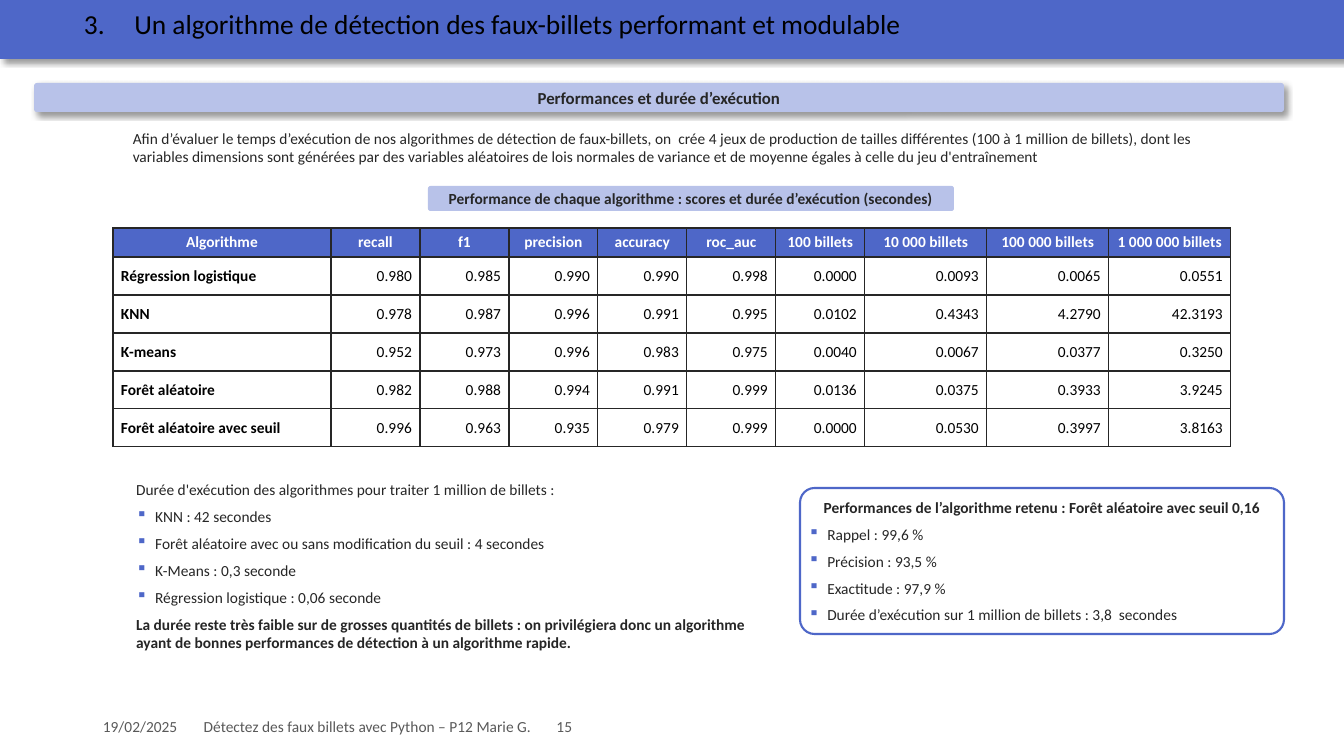
from lxml.etree import SubElement
from pptx import Presentation
from pptx.dml.color import RGBColor
from pptx.enum.shapes import MSO_SHAPE
from pptx.enum.text import MSO_ANCHOR as ANCHOR, PP_ALIGN as ALIGN
from pptx.oxml import parse_xml
from pptx.oxml.ns import nsdecls, qn
from pptx.util import Pt

PX = 9071  # EMU per pixel, 100.8 pixels to the inch
BLUE, PALE_BLUE, DARK, GREY = "4E67C8", "B8C2E9", "262626", "595959"
BLACK, WHITE = "000000", "FFFFFF"
colour = RGBColor.from_string


def write(paragraph, text, size=11, color=DARK, bold=False, align=ALIGN.LEFT,
          after=0, line_spacing=None, left=0, bullet=False, tabs=()):
    run = paragraph.add_run()
    run.text = text
    run.font.name = "Calibri"
    run.font.size = Pt(size)
    run.font.bold = bold
    run.font.color.rgb = colour(color)
    paragraph.alignment = align
    paragraph.space_after = Pt(after)
    if line_spacing:
        paragraph.line_spacing = line_spacing
    properties = paragraph._p.get_or_add_pPr()
    properties.set("marL", str(left * PX))
    properties.set("indent", str(-19 * PX if bullet else 0))
    if bullet:
        bullet_color = SubElement(properties, qn("a:buClr"))
        SubElement(bullet_color, qn("a:srgbClr"), val=BLUE)
        SubElement(properties, qn("a:buChar"), char="▪")
    if tabs:
        tab_list = SubElement(properties, qn("a:tabLst"))
        for tab in tabs:
            SubElement(tab_list, qn("a:tab"), pos=str(tab * PX), algn="l")


def add_box(bounds, kind=MSO_SHAPE.ROUNDED_RECTANGLE, fill=None, line=None,
            shadow=False, anchor=ANCHOR.MIDDLE, paragraphs=()):
    """Add a shape; paragraphs are pairs of text and format for write()."""
    shape = slide.shapes.add_shape(kind, *[value * PX for value in bounds])
    if kind == MSO_SHAPE.ROUNDED_RECTANGLE:
        shape.adjustments[0] = 0.1
    if fill:
        shape.fill.solid()
        shape.fill.fore_color.rgb = colour(fill)
    else:
        shape.fill.background()
    if line:
        shape.line.color.rgb = colour(line)
        shape.line.width = Pt(1.5)
    else:
        shape.line.fill.background()
    shape.shadow.inherit = False
    if shadow:
        effects = shape._element.spPr.find(qn("a:effectLst"))
        effects.append(parse_xml(
            f'<a:outerShdw {nsdecls("a")} blurRad="50800" dist="38100" dir="2700000" '
            'algn="tl" rotWithShape="0"><a:srgbClr val="000000">'
            '<a:alpha val="40000"/></a:srgbClr></a:outerShdw>'))
    frame = shape.text_frame
    frame.word_wrap = True
    frame.vertical_anchor = anchor
    frame.margin_left = frame.margin_right = 4 * PX
    frame.margin_top = frame.margin_bottom = 5 * PX
    for index, (text, style) in enumerate(paragraphs):
        paragraph = frame.add_paragraph() if index else frame.paragraphs[0]
        write(paragraph, text, **style)


presentation = Presentation()
presentation.slide_width = 1344 * PX
presentation.slide_height = 756 * PX
slide = presentation.slides.add_slide(presentation.slide_layouts[6])

# Title band and footer
add_box((0, 0, 1344, 59), kind=MSO_SHAPE.RECTANGLE, fill=BLUE, shadow=True)
band_texts = [
    ((74, 11, 1025, 36), ANCHOR.TOP,
     "3.\tUn algorithme de détection des faux-billets performant et modulable",
     dict(size=19.6, color=BLACK, line_spacing=0.7, tabs=[101])),
    ((93, 711, 1159, 30), ANCHOR.MIDDLE,
     "19/02/2025\tDétectez des faux billets avec Python – P12 Marie G.\t15",
     dict(color=GREY, tabs=[302, 1109])),
]
for bounds, anchor, text, style in band_texts:
    frame = slide.shapes.add_textbox(*[value * PX for value in bounds]).text_frame
    frame.word_wrap = True
    frame.vertical_anchor = anchor
    write(frame.paragraphs[0], text, **style)

# Headings, introduction and conclusions
body = dict(after=6, left=10)
heading = dict(after=6, bold=True, align=ALIGN.CENTER)
duration_item = dict(after=6, left=29, bullet=True)
score_item = dict(after=6, left=19, bullet=True)

add_box((116, 469, 658, 211), anchor=ANCHOR.TOP, paragraphs=[
    ("Durée d'exécution des algorithmes pour traiter 1 million de billets :", body),
    ("KNN : 42 secondes", duration_item),
    ("Forêt aléatoire avec ou sans modification du seuil : 4 secondes", duration_item),
    ("K-Means : 0,3 seconde", duration_item),
    ("Régression logistique : 0,06 seconde", duration_item),
    ("La durée reste très faible sur de grosses quantités de billets : on privilégiera "
     "donc un algorithme ayant de bonnes performances de détection à un algorithme "
     "rapide.", dict(body, bold=True)),
])
add_box((34, 83, 1250, 29), fill=PALE_BLUE, shadow=True, paragraphs=[
    ("Performances et durée d’exécution", dict(size=12, bold=True, align=ALIGN.CENTER)),
])
add_box((117, 122, 1106, 61), anchor=ANCHOR.TOP, paragraphs=[
    ("Afin d’évaluer le temps d’exécution de nos algorithmes de détection de "
     "faux-billets, on  crée 4 jeux de production de tailles différentes (100 à 1 million "
     "de billets), dont les variables dimensions sont générées par des variables "
     "aléatoires de lois normales de variance et de moyenne égales à celle du jeu "
     "d'entraînement", body),
])
add_box((428, 186, 526, 25), fill=PALE_BLUE, paragraphs=[
    ("Performance de chaque algorithme : scores et durée d’exécution (secondes)", heading),
])
add_box((800, 488, 484, 146), line=BLUE, paragraphs=[
    ("Performances de l’algorithme retenu : Forêt aléatoire avec seuil 0,16", heading),
    ("Rappel : 99,6 %", score_item),
    ("Précision : 93,5 %", score_item),
    ("Exactitude : 97,9 %", score_item),
    ("Durée d’exécution sur 1 million de billets : 3,8  secondes", score_item),
])

# Table of scores and run times
results = [
    ("Algorithme", "recall", "f1", "precision", "accuracy", "roc_auc",
     "100 billets", "10 000 billets", "100 000 billets", "1 000 000 billets"),
    ("Régression logistique", "0.980", "0.985", "0.990", "0.990", "0.998",
     "0.0000", "0.0093", "0.0065", "0.0551"),
    ("KNN", "0.978", "0.987", "0.996", "0.991", "0.995",
     "0.0102", "0.4343", "4.2790", "42.3193"),
    ("K-means", "0.952", "0.973", "0.996", "0.983", "0.975",
     "0.0040", "0.0067", "0.0377", "0.3250"),
    ("Forêt aléatoire", "0.982", "0.988", "0.994", "0.991", "0.999",
     "0.0136", "0.0375", "0.3933", "3.9245"),
    ("Forêt aléatoire avec seuil", "0.996", "0.963", "0.935", "0.979", "0.999",
     "0.0000", "0.0530", "0.3997", "3.8163"),
]
column_widths = [218] + [89] * 6 + [122] * 3
row_heights = [29] + [38] * 5
table = slide.shapes.add_table(
    len(row_heights), len(column_widths), 113 * PX, 228 * PX,
    sum(column_widths) * PX, sum(row_heights) * PX).table
table.horz_banding = False
for column, width in zip(table.columns, column_widths):
    column.width = width * PX
for row, height in zip(table.rows, row_heights):
    row.height = height * PX

for row_index, values in enumerate(results):
    for column_index, value in enumerate(values):
        is_header, is_name = row_index == 0, column_index == 0
        cell = table.cell(row_index, column_index)
        cell.vertical_anchor = ANCHOR.MIDDLE
        cell.margin_left = cell.margin_right = 8 * PX
        cell.margin_top = cell.margin_bottom = 4 * PX
        for side in ("a:lnL", "a:lnR", "a:lnT", "a:lnB"):
            border = SubElement(cell._tc.get_or_add_tcPr(), qn(side), w=str(Pt(1)))
            SubElement(SubElement(border, qn("a:solidFill")), qn("a:srgbClr"), val=DARK)
        cell.fill.solid()
        cell.fill.fore_color.rgb = colour(BLUE if is_header else WHITE)
        align = ALIGN.CENTER if is_header else ALIGN.LEFT if is_name else ALIGN.RIGHT
        write(cell.text_frame.paragraphs[0], value, align=align,
              color=WHITE if is_header else BLACK, bold=is_header or is_name)

presentation.save("out.pptx")
